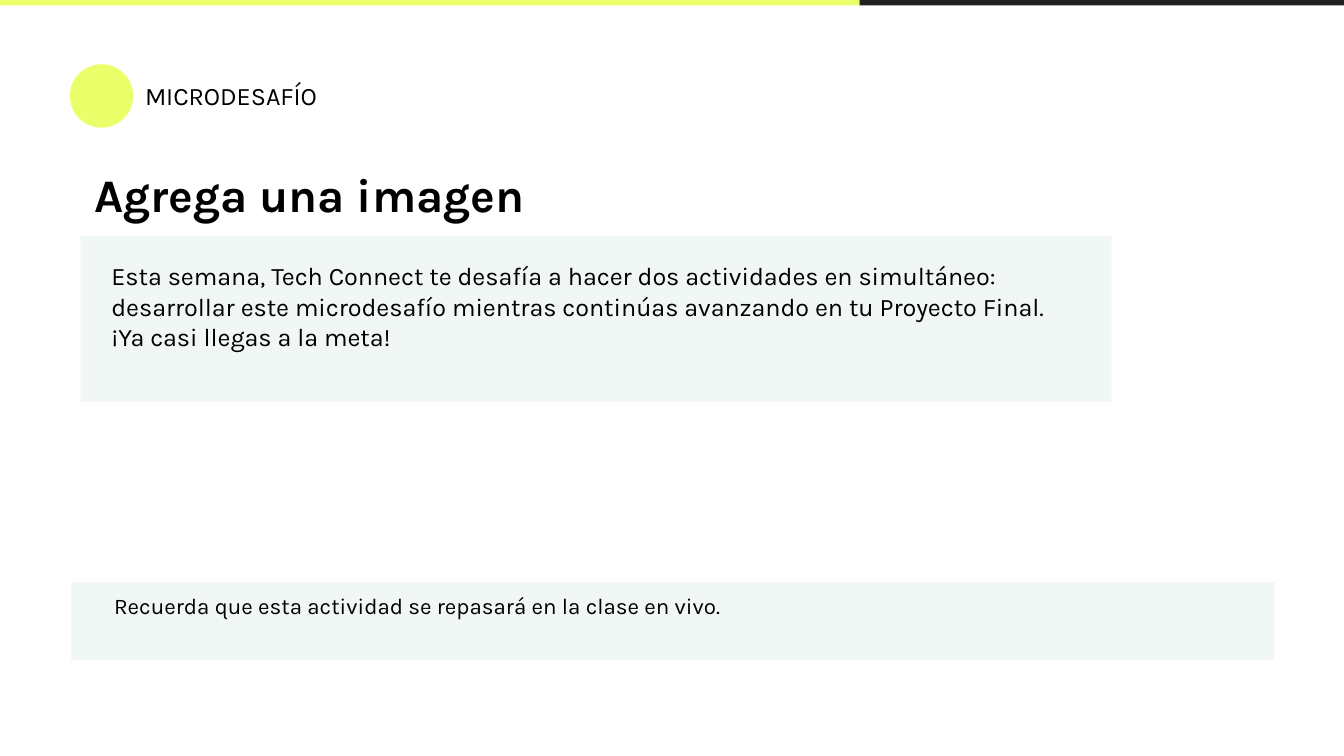
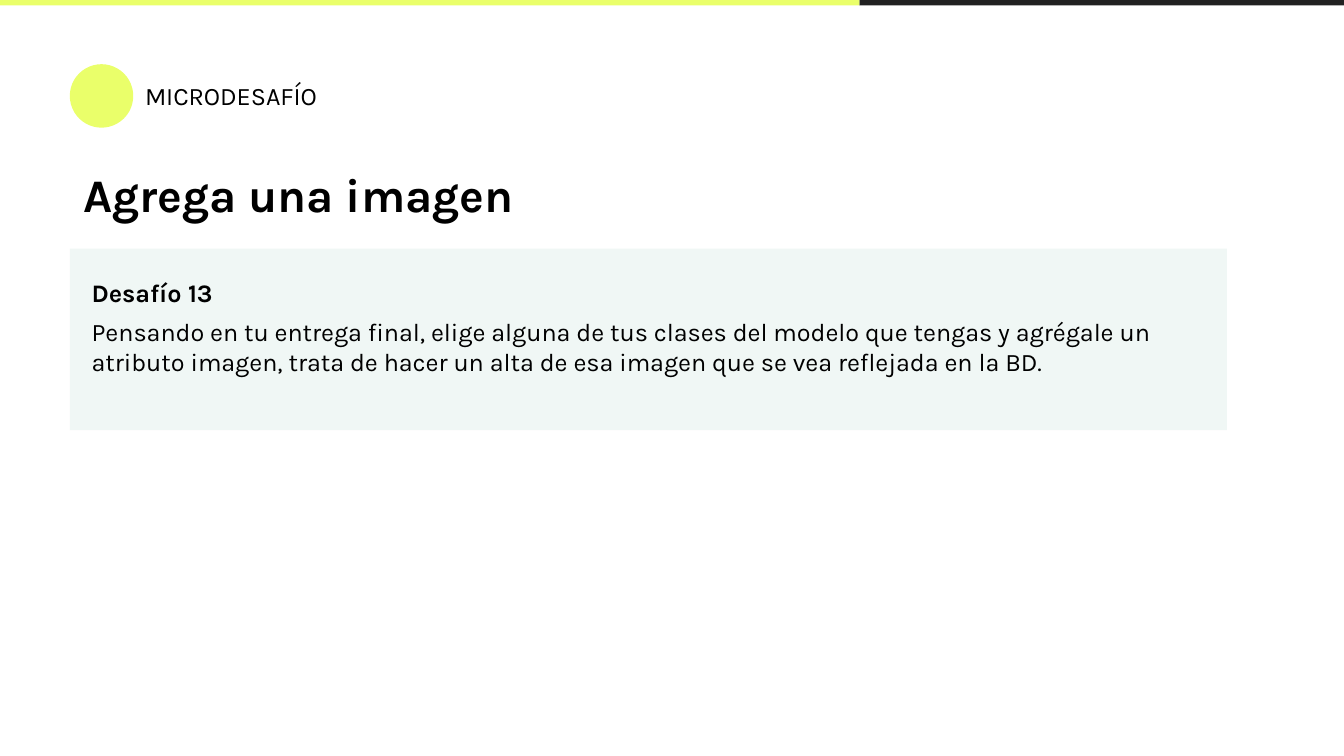
from dataclasses import dataclass

from pptx import Presentation
from pptx.dml.color import RGBColor
from pptx.enum import shapes, text
from pptx.util import Pt

# Content: boxes are (left, top, width, height) in points;
# a paragraph is (wording, bold, space after)
SECTION = "MICRODESAFÍO"
TITLE = "Agrega una imagen"
PAGES = [
    {
        "title_box": (43.2, 85, 578.9, 41.8),
        "panels": [
            {
                "box": (43.2, 126.7, 552.2, 88.6),
                "text_box": (52.6, 132.5, 535, 63.4),
                "size": "body",
                "paras": [
                    ("Esta semana, Tech Connect te desafía a hacer dos actividades "
                     "en simultáneo: desarrollar este microdesafío mientras "
                     "continúas avanzando en tu Proyecto Final.", False, 0),
                    ("¡Ya casi llegas a la meta!", False, 0),
                ],
            },
            {
                "box": (38.2, 311.8, 644.4, 41.8),
                "text_box": (54, 310.3, 481.7, 28.8),
                "size": "note",
                "paras": [
                    ("Recuerda que esta actividad se repasará en la clase en vivo.",
                     False, 0),
                ],
            },
        ],
    },
    {
        "title_box": (37.4, 85, 412.6, 41.8),
        "panels": [
            {
                "box": (37.4, 133.2, 619.9, 97.2),
                "text_box": (42, 141.1, 583.9, 68.4),
                "size": "body",
                "paras": [
                    ("Desafío 13", True, 5),
                    ("Pensando en tu entrega final, elige alguna de tus clases del "
                     "modelo que tengas y agrégale un atributo imagen, trata de "
                     "hacer un alta de esa imagen que se vea reflejada en la BD.",
                     False, 10),
                ],
            },
        ],
    },
]


@dataclass(frozen=True)
class Theme:
    font: str = "Karla"
    ink: RGBColor = RGBColor(0x00, 0x00, 0x00)
    lime: RGBColor = RGBColor(0xEA, 0xFF, 0x6A)
    dark: RGBColor = RGBColor(0x21, 0x21, 0x21)
    panel: RGBColor = RGBColor(0xF0, 0xF7, 0xF5)
    title: float = 25
    body: float = 13.5
    note: float = 12
    inset: float = 7.2


THEME = Theme()
WIDTH, HEIGHT = 720, 405
BAND_TOP, BAND_HEIGHT, BAND_SPLIT = -0.7, 3.6, 460.4
DOT_BOX = (37.4, 34.4, 34, 34)
SECTION_BOX = (70.6, 36, 236.2, 31)


# Helpers
def add_block(page, kind, box, color):
    block = page.shapes.add_shape(kind, *map(Pt, box))
    block.shadow.inherit = False
    block.fill.solid()
    block.fill.fore_color.rgb = color
    block.line.fill.background()


def fill_text(frame, paras, size, line_spacing=1.0):
    frame.word_wrap = True
    frame.auto_size = text.MSO_AUTO_SIZE.SHAPE_TO_FIT_TEXT
    frame.vertical_anchor = text.MSO_ANCHOR.TOP
    frame.margin_left = frame.margin_right = Pt(THEME.inset)
    frame.margin_top = frame.margin_bottom = Pt(THEME.inset)
    for index, (wording, bold, space_after) in enumerate(paras):
        para = frame.add_paragraph() if index else frame.paragraphs[0]
        para.alignment = text.PP_ALIGN.LEFT
        para.line_spacing = line_spacing
        para.space_before = Pt(0)
        para.space_after = Pt(space_after)
        span = para.add_run()
        span.text = wording
        span.font.name = THEME.font
        span.font.size = Pt(size)
        span.font.bold = bold
        span.font.color.rgb = THEME.ink


def add_text(page, box, paras, size):
    fill_text(page.shapes.add_textbox(*map(Pt, box)).text_frame, paras, size)


def place_title(page, box):
    title = page.shapes.title
    title.left, title.top, title.width, title.height = map(Pt, box)
    fill_text(title.text_frame, [(TITLE, True, 0)], THEME.title, 0.9)


def add_header(page):
    rect = shapes.MSO_SHAPE.RECTANGLE
    for left, right, color in ((BAND_SPLIT, WIDTH, THEME.dark),
                               (0, BAND_SPLIT, THEME.lime)):
        add_block(page, rect, (left, BAND_TOP, right - left, BAND_HEIGHT), color)
    add_block(page, shapes.MSO_SHAPE.OVAL, DOT_BOX, THEME.lime)
    add_text(page, SECTION_BOX, [(SECTION, False, 0)], THEME.body)


# Build the deck
def main():
    deck = Presentation()
    deck.slide_width, deck.slide_height = Pt(WIDTH), Pt(HEIGHT)
    title_only = deck.slide_layouts[5]
    for content in PAGES:
        page = deck.slides.add_slide(title_only)
        place_title(page, content["title_box"])
        add_header(page)
        for panel in content["panels"]:
            add_block(page, shapes.MSO_SHAPE.RECTANGLE, panel["box"], THEME.panel)
            add_text(page, panel["text_box"], panel["paras"],
                     getattr(THEME, panel["size"]))
    deck.save("out.pptx")


if __name__ == "__main__":
    main()
